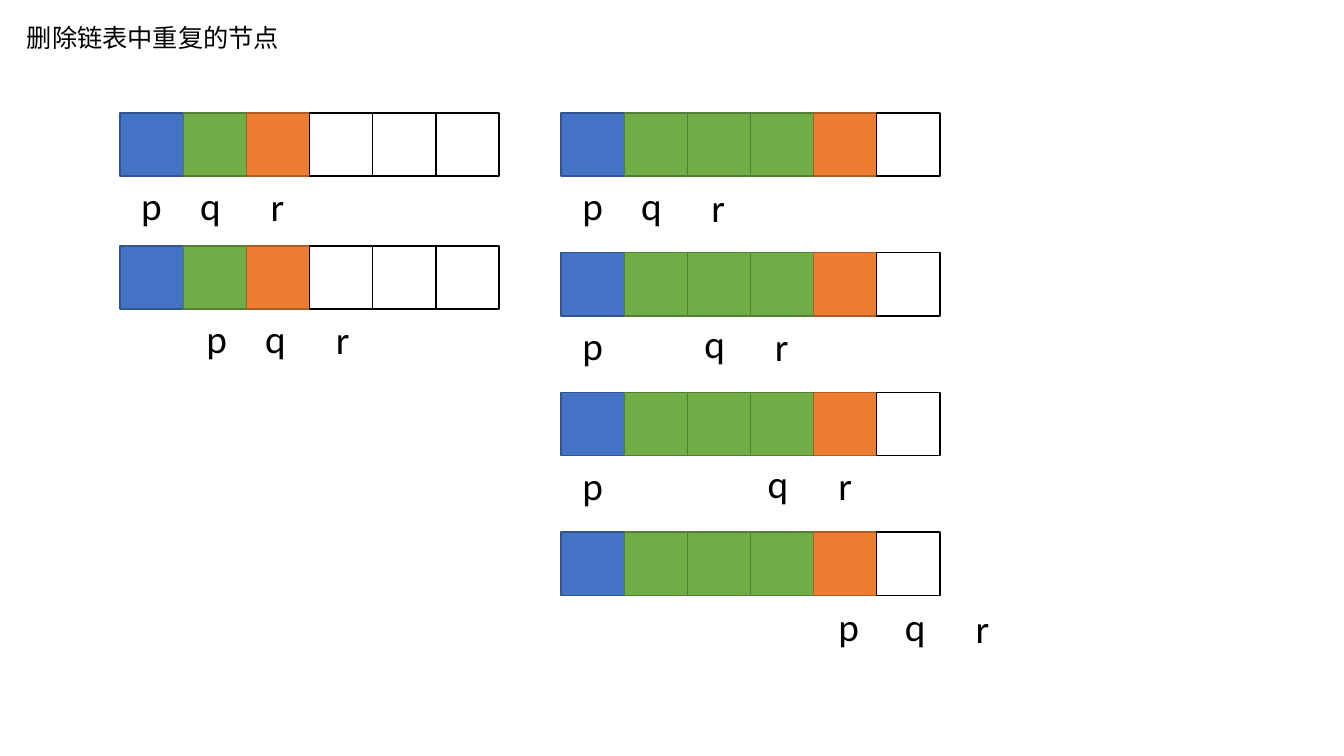
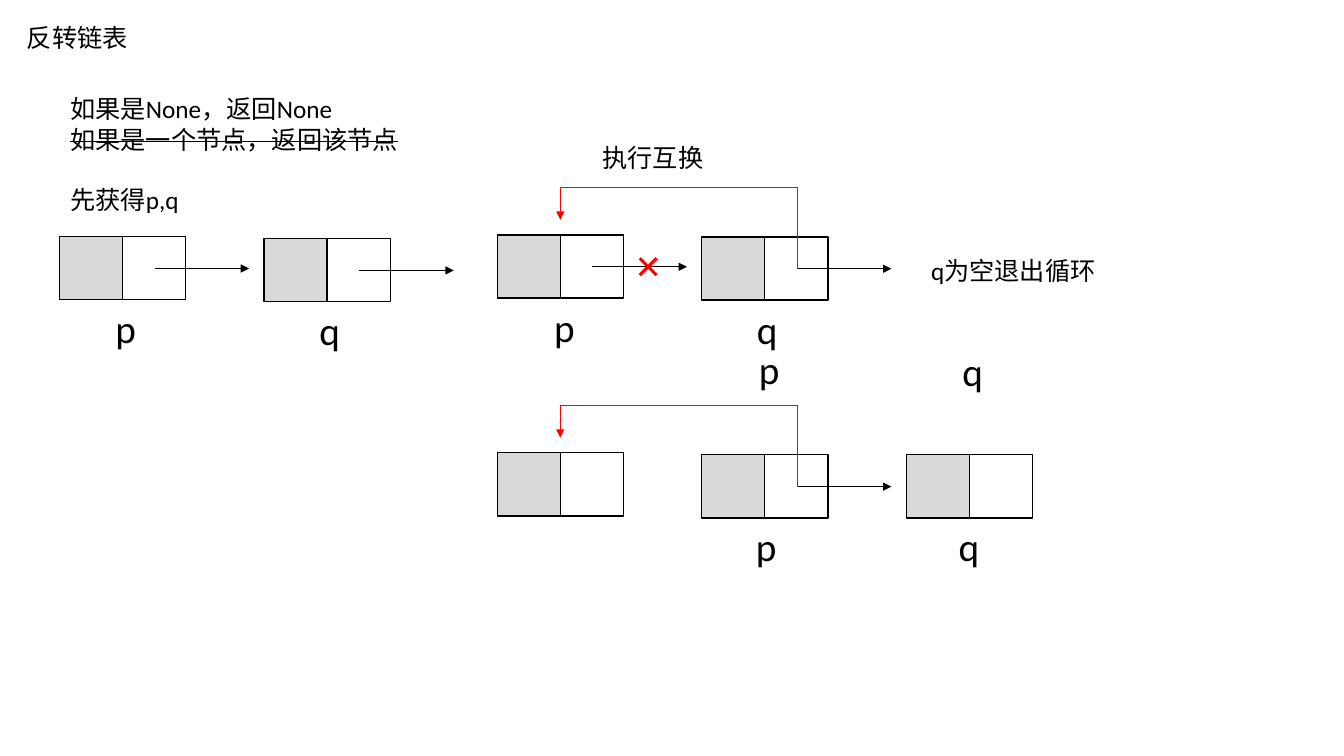
from dataclasses import dataclass

from lxml.etree import SubElement
from pptx import Presentation
from pptx.dml.color import RGBColor as RGB
from pptx.enum.shapes import MSO_CONNECTOR as CONN, MSO_SHAPE as SHAPE
from pptx.enum.text import MSO_AUTO_SIZE as AUTO
from pptx.oxml.ns import qn
from pptx.util import Pt


@dataclass(frozen=True)
class Theme:
    font: str = "Calibri"
    body: float = 18
    label: float = 28
    text_line: float = 21.6
    cell: float = 45.1
    cell_line: float = 1
    link_line: float = 0.5
    cross_line: float = 2.25
    black: str = "000000"
    red: str = "FF0000"
    blue: tuple = ("4472C4", "325491")
    green: tuple = ("70AD47", "538035")
    orange: tuple = ("ED7D31", "AF5C24")
    white: tuple = ("FFFFFF", "000000")
    gray: tuple = ("D9D9D9", "000000")


T = Theme()
LABEL_W = {"p": 29.5, "q": 29.5, "r": 24.5}
ROW_LONG = [T.blue] + [T.green] * 3 + [T.orange, T.white]
ROW_SHORT = [T.blue, T.green, T.orange] + [T.white] * 3


def add_text(s, x, y, w, h, lines, size=T.body, wrap=False):
    tf = s.shapes.add_textbox(Pt(x), Pt(y), Pt(w), Pt(h)).text_frame
    tf.word_wrap = wrap
    tf.auto_size = AUTO.SHAPE_TO_FIT_TEXT
    for i, text in enumerate(lines):
        p = tf.paragraphs[0] if i == 0 else tf.add_paragraph()
        p.add_run().text = text
        p.font.name = T.font
        p.font.size = Pt(size)
        p.font.color.rgb = RGB.from_string(T.black)
    return tf


def add_label(s, text, x, y):
    add_text(s, x, y, LABEL_W[text], 41, [text], T.label)


def add_title(s, text):
    add_text(s, 12.2, 12.2, 18 * len(text) + 15.4, 29, [text])


def add_cells(s, x, y, colors):
    for i, (fill, line) in enumerate(colors):
        sp = s.shapes.add_shape(SHAPE.RECTANGLE, Pt(x + i * T.cell), Pt(y),
                                Pt(T.cell), Pt(T.cell))
        sp.shadow.inherit = False
        sp.fill.solid()
        sp.fill.fore_color.rgb = RGB.from_string(fill)
        sp.line.color.rgb = RGB.from_string(line)
        sp.line.width = Pt(T.cell_line)


def add_line(s, start, end, color=T.black, width=T.link_line, arrow=False):
    c = s.shapes.add_connector(CONN.STRAIGHT, *map(Pt, start + end))
    c.line.color.rgb = RGB.from_string(color)
    c.line.width = Pt(width)
    if arrow:
        SubElement(c.line._get_or_add_ln(), qn("a:tailEnd"), type="triangle")
    SubElement(c._element.spPr, qn("a:effectLst"))


def add_array(s, x, y, colors, offsets):
    add_cells(s, x, y, colors)
    for text, (dx, dy) in zip("pqr", offsets):
        add_label(s, text, x + dx, y + dy)


def add_node(s, x, y, label=None, label_dx=33, arrow=False):
    add_cells(s, x, y, [T.gray, T.white])
    if label:
        add_label(s, label, x + label_dx, y + T.cell)
    if arrow:
        add_line(s, (x + 68, y + 22.8), (x + 135.5, y + 22.8), arrow=True)


def add_back_link(s, x, y):
    points = [(x + 68, y + 22.8), (x + 68, y - 35.3),
              (x - 101, y - 35.3), (x - 101, y - 12.2)]
    for i, (start, end) in enumerate(zip(points, points[1:])):
        add_line(s, start, end, T.red, arrow=i == 2)


def add_cross(s, x, y, size):
    for top, bottom in ((y, y + size), (y + size, y)):
        add_line(s, (x, top), (x + size, bottom), T.red, T.cross_line)


def duplicates_slide(prs):
    s = prs.slides.add_slide(prs.slide_layouts[6])
    add_title(s, "删除链表中重复的节点")
    short_rows = [
        [(8, 45.4), (50, 45.4), (100.5, 46)],
        [(54.6, 45.4), (96.5, 45.4), (147, 46)],
    ]
    long_rows = [
        [(8, 45.4), (50, 45.4), (100.2, 47)],
        [(8, 45.4), (95.2, 44), (145.6, 46)],
        [(8, 45.4), (140.5, 44.4), (191, 46)],
        [(191, 46.8), (238.5, 46.8), (289, 48.2)],
    ]
    for x, step, colors, rows in ((85.8, 95, ROW_SHORT, short_rows),
                                  (400.8, 99.8, ROW_LONG, long_rows)):
        for i, offsets in enumerate(rows):
            add_array(s, x, 80.7 + i * step, colors, offsets)


def reversal_slide(prs):
    s = prs.slides.add_slide(prs.slide_layouts[6])
    add_title(s, "反转链表")
    tf = add_text(s, 43.2, 63.4, 274.5, 94.5,
                  ["如果是None，返回None", "如果是一个节点，返回该节点", "先获得p,q"],
                  wrap=True)
    tf.paragraphs[1].runs[0]._r.get_or_add_rPr().set("strike", "sngStrike")
    tf.paragraphs[2].space_before = Pt(T.text_line)

    add_node(s, 42.4, 169, "p", arrow=True)
    add_node(s, 188.6, 170.4, "q", 32.4, arrow=True)

    add_node(s, 355.2, 167.8, "p", 33.6, arrow=True)
    add_node(s, 501.2, 169.2, "q", 32.4, arrow=True)
    add_back_link(s, 501.2, 169.2)
    add_cross(s, 457, 184.5, 12)
    add_text(s, 423.2, 97.8, 87.4, 29, ["执行互换"])
    add_label(s, "p", 535, 243.4)
    add_label(s, "q", 680.4, 244.8)
    add_text(s, 658, 178.6, 133.2, 29, ["q为空退出循环"], wrap=True)

    add_node(s, 355.2, 323.4)
    add_node(s, 501.2, 324.8, "p", 31.7, arrow=True)
    add_node(s, 647.4, 324.8, "q", 30.2)
    add_back_link(s, 501.2, 324.8)


def main():
    prs = Presentation()
    prs.slide_width, prs.slide_height = Pt(960), Pt(540)
    duplicates_slide(prs)
    reversal_slide(prs)
    prs.save("out.pptx")


if __name__ == "__main__":
    main()
